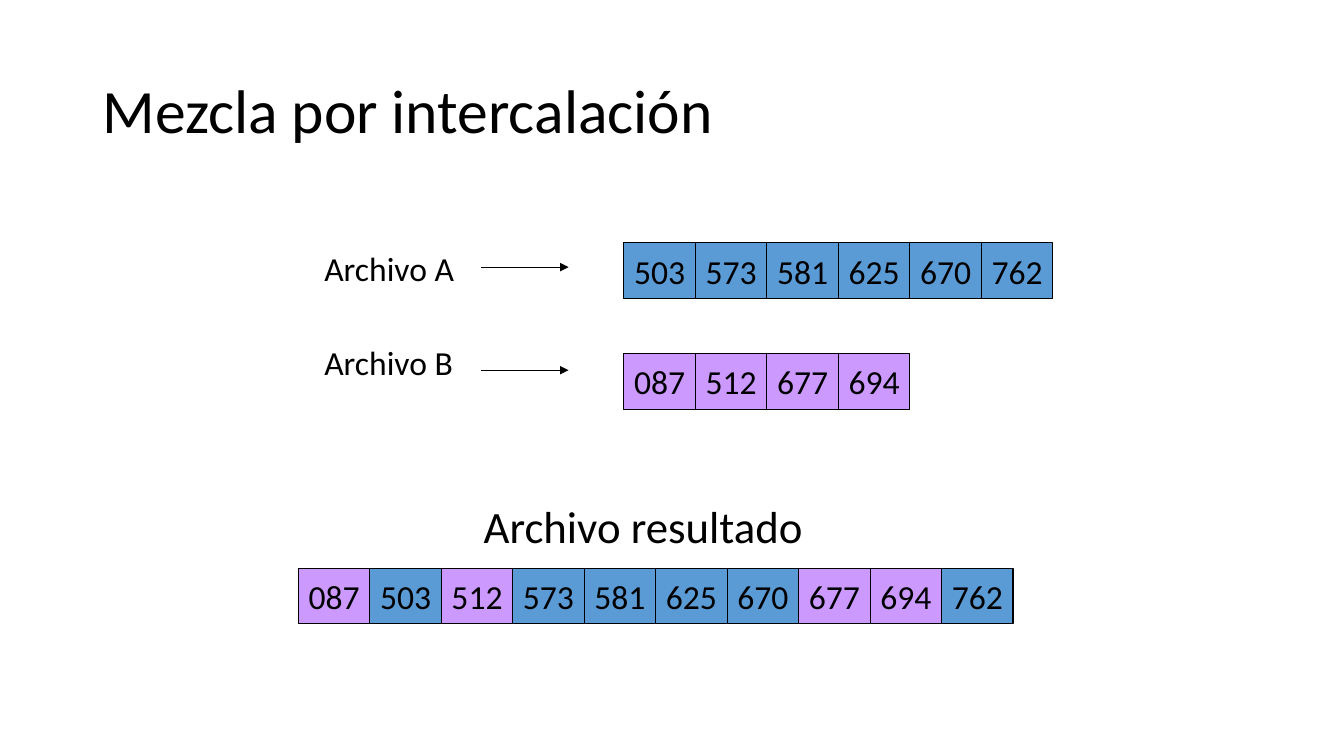
from lxml.etree import SubElement
from pptx import Presentation
from pptx.dml.color import RGBColor
from pptx.enum.shapes import MSO_CONNECTOR, MSO_SHAPE
from pptx.enum.text import MSO_ANCHOR, PP_ALIGN
from pptx.oxml.ns import qn
from pptx.util import Pt

BLACK = RGBColor(0x00, 0x00, 0x00)
BLUE = RGBColor(0x5B, 0x9B, 0xD5)
PURPLE = RGBColor(0xCC, 0x99, 0xFF)

# Content
TITLE = "Mezcla por intercalación"
LABELS = ["Archivo A", "Archivo B"]
RESULT_LABEL = "Archivo resultado"
FILE_A = ["503", "573", "581", "625", "670", "762"]
FILE_B = ["087", "512", "677", "694"]
RESULT = sorted(FILE_A + FILE_B)

# Layout in points: left and top of each row of cells
ROWS = [(FILE_A, 445.7, 173.5), (FILE_B, 445.7, 252.7), (RESULT, 213.1, 406.1)]
CELL_WIDTH, CELL_HEIGHT = 51.05, 39.6
ARROW_START, ARROW_END = 343.5, 406.1
ARROW_TOPS = [190.8, 264.4]


def write(box, lines, size, gap=0, **frame_format):
    frame = box.text_frame
    for name, value in frame_format.items():
        setattr(frame, name, value)
    frame.text = "\n".join(lines)
    for index, para in enumerate(frame.paragraphs):
        para.space_before = Pt(gap if index else 0)
        para.alignment = PP_ALIGN.LEFT
        font = para.runs[0].font
        for name, value in {"name": "Calibri", "size": Pt(size)}.items():
            setattr(font, name, value)
        font.color.rgb = BLACK


def add_cell(page, value, left, top):
    cell = page.shapes.add_shape(MSO_SHAPE.RECTANGLE, Pt(left), Pt(top),
                                 Pt(CELL_WIDTH), Pt(CELL_HEIGHT))
    cell.shadow.inherit = False
    cell.fill.solid()
    cell.fill.fore_color.rgb = BLUE if value in FILE_A else PURPLE
    cell.line.color.rgb = BLACK
    cell.line.width = Pt(0.75)
    write(cell, [value], 24, word_wrap=False, vertical_anchor=MSO_ANCHOR.MIDDLE)
    cell.text_frame.paragraphs[0].alignment = PP_ALIGN.CENTER


def add_arrow(page, top):
    arrow = page.shapes.add_connector(MSO_CONNECTOR.STRAIGHT, Pt(ARROW_START), Pt(top),
                                      Pt(ARROW_END), Pt(top))
    arrow.line.color.rgb = BLACK
    arrow.line.width = Pt(0.75)
    SubElement(arrow.line._get_or_add_ln(), qn("a:tailEnd"), type="triangle")
    SubElement(arrow._element.spPr, qn("a:effectLst"))


deck = Presentation()
deck.slide_width, deck.slide_height = Pt(960), Pt(540)
page = deck.slides.add_slide(deck.slide_layouts[5])

# Title
title = page.shapes.title
title.left, title.top, title.width, title.height = Pt(66), Pt(28.8), Pt(828), Pt(104.4)
write(title, [TITLE], 44, vertical_anchor=MSO_ANCHOR.MIDDLE)
title.text_frame.paragraphs[0].line_spacing = 0.9

# Rows of cells, coloured by the file each value comes from
for values, left, top in ROWS:
    for column, value in enumerate(values):
        add_cell(page, value, left + column * CELL_WIDTH, top)

# Labels
result_box = page.shapes.add_textbox(Pt(338.4), Pt(352.8), Pt(244.1), Pt(46.1))
write(result_box, [RESULT_LABEL], 32, word_wrap=False)
label_box = page.shapes.add_textbox(Pt(224.6), Pt(173.5), Pt(134.6), Pt(108.7))
write(label_box, LABELS, 24, gap=38.6, word_wrap=True)

# Arrows from the labels to the files
for top in ARROW_TOPS:
    add_arrow(page, top)

deck.save("out.pptx")
